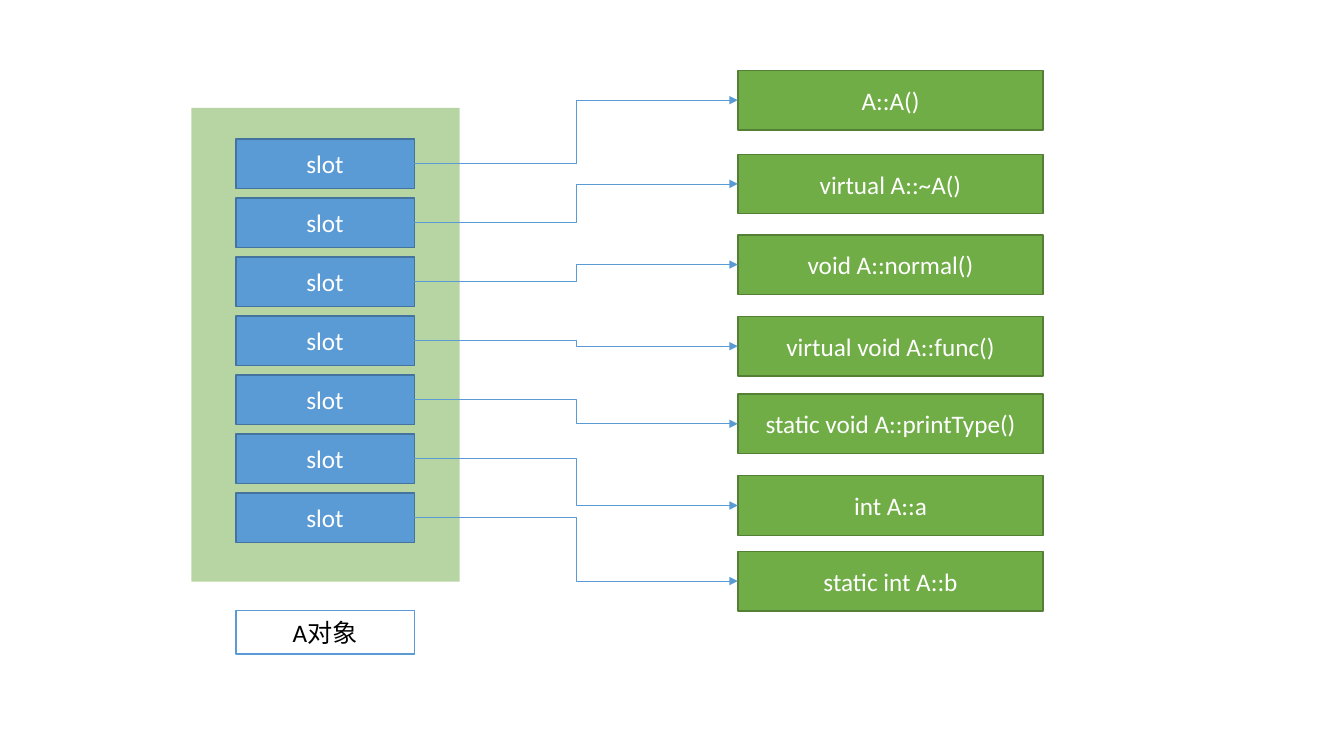
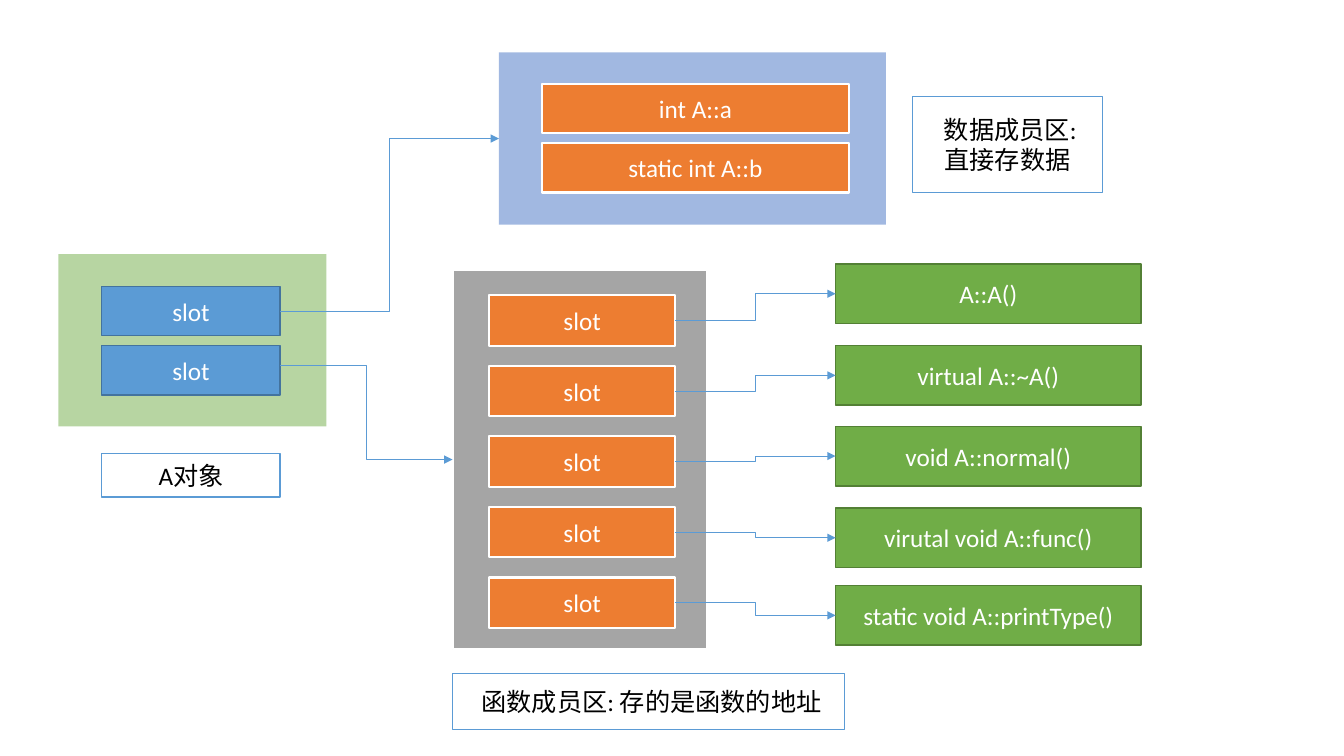
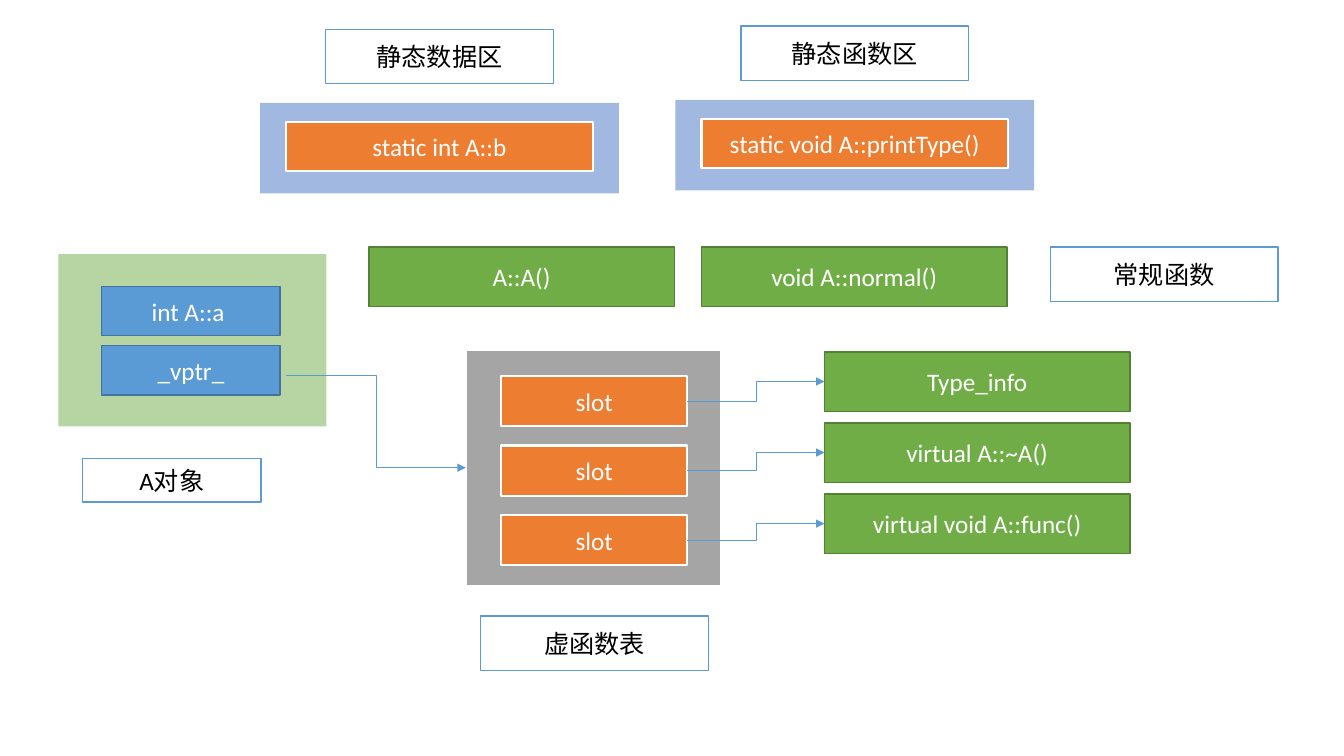
from dataclasses import dataclass

from lxml import etree
from pptx import Presentation
from pptx.dml.color import RGBColor
from pptx.enum.shapes import MSO_CONNECTOR, MSO_SHAPE
from pptx.enum.text import MSO_ANCHOR, PP_ALIGN
from pptx.oxml.ns import qn
from pptx.util import Emu, Inches, Pt

RECT = MSO_SHAPE.RECTANGLE
ELBOW = MSO_CONNECTOR.ELBOW
CENTER = PP_ALIGN.CENTER
MIDDLE = MSO_ANCHOR.MIDDLE
LEFT_SITE, RIGHT_SITE = 1, 3

# Grid of square cells: 75 rows on a 16:9 slide.
ROWS = 75
SLIDE_W, SLIDE_H = Emu(12192000), Inches(7.5)
CELL = SLIDE_H // ROWS


@dataclass(frozen=True)
class Style:
    """Look of one kind of box."""
    fill: str
    line: str = ""
    weight: float = 1
    color: str = "FFFFFF"
    alpha: int = 100


@dataclass(frozen=True)
class Theme:
    """Fonts, sizes and box styles shared by all slides."""
    font: str = "Calibri"
    size: int = 18
    arrow: str = "5B9BD5"
    arrow_weight: float = 0.5
    slot: Style = Style("5B9BD5", "43739E")
    member: Style = Style("70AD47", "538035")
    entry: Style = Style("ED7D31", "FFFFFF", 1.5)
    label: Style = Style("FFFFFF", "5B9BD5", color="000000")
    object_area: Style = Style("70AD47", alpha=50)
    data_area: Style = Style("4472C4", alpha=50)
    table_area: Style = Style("A5A5A5", "FFFFFF", 1.5)


THEME = Theme()
SLOT = (17.7, 4.9)
MEMBER = (30.3, 5.9)
ENTRY = (18.5, 5)
DATA = (30.4, 4.9)
OBJECT_LABEL = (17.7, 4.3)
AREA_LABEL = (22.6, 5.4)
STATIC_AREA = (35.6, 9)


def cells(n):
    """Turn a number of grid cells into a length."""
    return Emu(round(n * CELL))


def steps(first, pitch, count):
    """Return equally spaced positions."""
    return [first + i * pitch for i in range(count)]


def write(tf, text, size=THEME.size, font=THEME.font, color="000000",
          align=CENTER, anchor=MIDDLE):
    """Write text, one paragraph a line, in the given format."""
    tf.word_wrap = True
    tf.vertical_anchor = anchor
    for i, line in enumerate(text.split("\n")):
        p = tf.add_paragraph() if i else tf.paragraphs[0]
        p.alignment = align
        r = p.add_run()
        r.text = line
        r.font.size = Pt(size)
        r.font.name = font
        r.font.color.rgb = RGBColor.from_string(color)


def box(s, style, at, size, text=""):
    """Add a rectangle in a theme style, with optional text."""
    sp = s.shapes.add_shape(RECT, *map(cells, (*at, *size)))
    sp.shadow.inherit = False
    sp.fill.solid()
    sp.fill.fore_color.rgb = RGBColor.from_string(style.fill)
    if style.alpha < 100:
        clr = sp.fill._xPr.find(".//" + qn("a:srgbClr"))
        etree.SubElement(clr, qn("a:alpha"), val=str(style.alpha * 1000))
    if style.line:
        sp.line.color.rgb = RGBColor.from_string(style.line)
        sp.line.width = Pt(style.weight)
    else:
        sp.line.fill.background()
    if text:
        write(sp.text_frame, text, color=style.color)
    return sp


def stack(s, style, x, tops, size, texts):
    """Add a column of boxes and return them."""
    return [box(s, style, (x, y), size, t) for y, t in zip(tops, texts)]


def arrow(s, start, end, shift=None):
    """Join the right side of one box to the left side of another.

    A shift in cells moves the start off the box's connection site.
    """
    dx, dy = shift or (0, 0)
    cx = s.shapes.add_connector(
        ELBOW,
        start.left + start.width + cells(dx),
        start.top + start.height // 2 + cells(dy),
        end.left, end.top + end.height // 2)
    if shift is None:
        cx.begin_connect(start, RIGHT_SITE)
    cx.end_connect(end, LEFT_SITE)
    cx.line.color.rgb = RGBColor.from_string(THEME.arrow)
    cx.line.width = Pt(THEME.arrow_weight)
    etree.SubElement(cx.line._get_or_add_ln(), qn("a:tailEnd"), type="triangle")
    etree.SubElement(cx._element.spPr, qn("a:effectLst"))


def arrows(s, starts, ends):
    """Join two columns of boxes pair by pair."""
    for start, end in zip(starts, ends):
        arrow(s, start, end)


def small_object(s, texts, label_at):
    """Add the two-slot object with its label and return the slots."""
    box(s, THEME.object_area, (5.8, 25.2), (26.6, 17.1))
    slots = stack(s, THEME.slot, 10.1, steps(28.4, 5.9, 2), SLOT, texts)
    box(s, THEME.label, label_at, OBJECT_LABEL, "A对象")
    return slots


def static_area(s, x, y, label, member):
    """Add a labelled static area that holds one member."""
    box(s, THEME.data_area, (x, y), STATIC_AREA)
    box(s, THEME.entry, (x + 2.6, y + 1.9), DATA, member)
    box(s, THEME.label, (x + 6.5, y - 7.3), AREA_LABEL, label)


def simple_model(s):
    """Object whose slots point to every member."""
    box(s, THEME.object_area, (19, 10.7), (26.6, 47))
    slots = stack(s, THEME.slot, 23.4, steps(13.8, 5.85, 7), SLOT, ["slot"] * 7)
    members = stack(
        s, THEME.member, 73.2, (7, 15.3, 23.3, 31.4, 39.1, 47.2, 54.7), MEMBER,
        ("A::A()", "virtual A::~A()", "void A::normal()",
         "virtual void A::func()", "static void A::printType()",
         "int A::a", "static int A::b"))
    arrows(s, slots, members)
    box(s, THEME.label, (23.4, 60.6), OBJECT_LABEL, "A对象")


def table_model(s):
    """Object that points to a data area and a function area."""
    functions = box(s, THEME.table_area, (44.9, 26.8), (25.3, 37.6))
    data_slot, function_slot = small_object(s, ("slot", "slot"), (10.1, 45))
    members = stack(
        s, THEME.member, 82.9, (26.2, 34.3, 42.3, 50.4, 58.1), MEMBER,
        ("A::A()", "virtual A::~A()", "void A::normal()",
         "virutal void A::func()", "static void A::printType()"))
    data = box(s, THEME.data_area, (49.5, 5.2), (38.4, 17.1))
    stack(s, THEME.entry, 53.8, steps(8.3, 5.9, 2), DATA,
          ("int A::a", "static int A::b"))
    entries = stack(s, THEME.entry, 48.5, steps(29.3, 7, 5), ENTRY, ["slot"] * 5)
    arrow(s, data_slot, data)
    arrow(s, function_slot, functions, shift=(0, -0.45))
    arrows(s, entries, members)
    box(s, THEME.label, (90.5, 9.6), (18.9, 9.5), " 数据成员区:\n直接存数据")
    box(s, THEME.label, (44.9, 66.8), (38.9, 5.6), " 函数成员区: 存的是函数的地址")


def virtual_table_model(s):
    """Object with a pointer to its virtual function table."""
    pointer = small_object(s, ("int A::a ", "_vptr_"), (8.2, 45.5))[1]
    static_area(s, 25.8, 10.2, "静态数据区", "static int A::b")
    static_area(s, 67, 9.9, "静态函数区", "static void A::printType()")
    for x, text in zip(steps(36.6, 33, 2), ("A::A()", "void A::normal()")):
        box(s, THEME.member, (x, 24.5), MEMBER, text)
    box(s, THEME.label, (104.2, 24.5), AREA_LABEL, "常规函数")
    table = box(s, THEME.table_area, (46.2, 34.7), (25.3, 23.4))
    entries = stack(s, THEME.entry, 49.7, steps(37.3, 6.9, 3), ENTRY, ["slot"] * 3)
    box(s, THEME.label, (47.7, 61.1), AREA_LABEL, "虚函数表")
    members = stack(s, THEME.member, 81.8, steps(34.9, 7.05, 3), MEMBER,
                    ("Type_info", "virtual A::~A()", "virtual void A::func()"))
    arrow(s, pointer, table, shift=(0.6, 0.5))
    arrows(s, entries, members)


def main():
    """Build the slides and save them."""
    prs = Presentation()
    prs.slide_width, prs.slide_height = SLIDE_W, SLIDE_H
    blank = prs.slide_layouts[6]
    for build in (simple_model, table_model, virtual_table_model):
        build(prs.slides.add_slide(blank))
    prs.save("out.pptx")


main()
